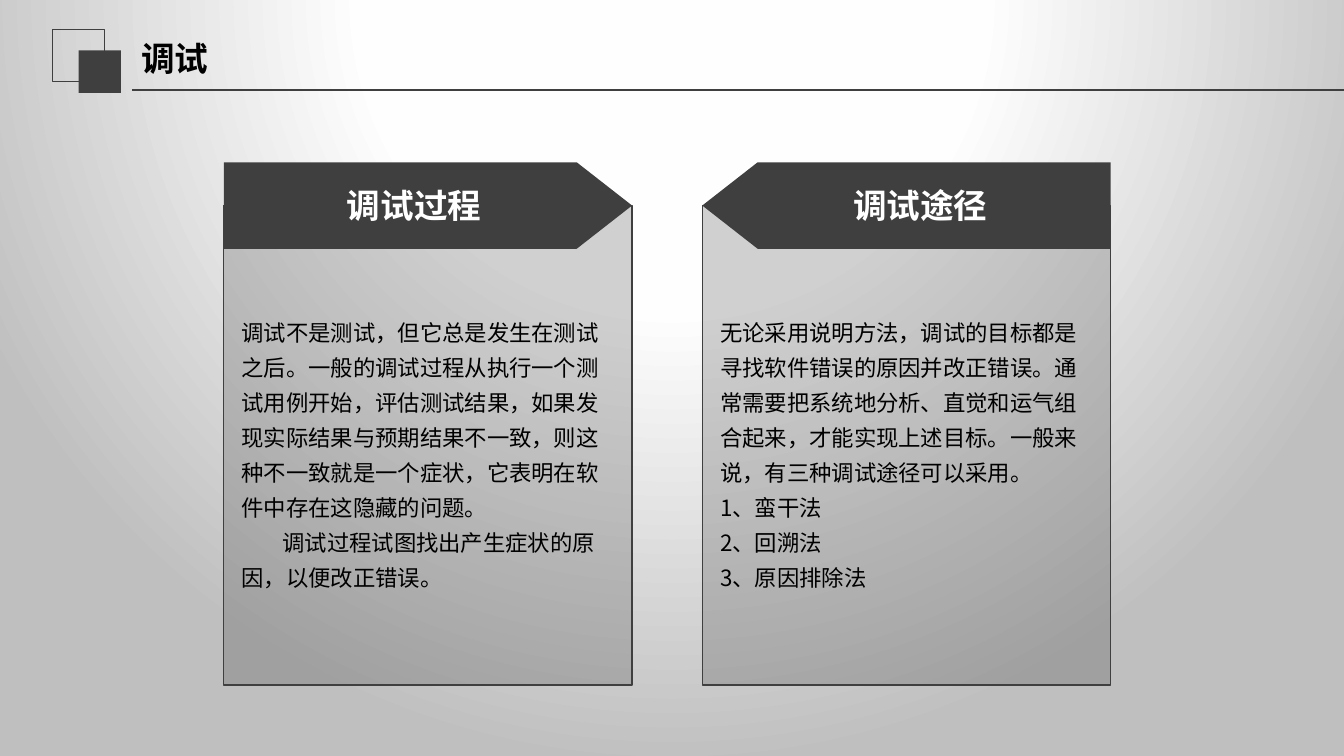
from lxml import etree
from pptx import Presentation
from pptx.dml.color import RGBColor
from pptx.enum import shapes, text
from pptx.oxml import parse_xml
from pptx.oxml.ns import nsdecls, qn
from pptx.util import Cm, Pt

HUES = {"dark": "3F3F3F", "ink": "000000", "white": "FFFFFF",
        "pale": "FEFEFE", "grey": "BFBFBF"}
FONT = "Noto Sans CJK SC"
WIDE, HIGH = 33.87, 19.05
RECT = shapes.MSO_SHAPE.RECTANGLE
ARROW = shapes.MSO_SHAPE.PENTAGON

PANELS = [
    (5.64, False, "调试过程", [
        ("调试不是测试，但它总是发生在测试之后。一般的调试过程从执行一个测试用例开始，"
         "评估测试结果，如果发现实际结果与预期结果不一致，则这种不一致就是一个症状，"
         "它表明在软件中存在这隐藏的问题。", 0),
        ("调试过程试图找出产生症状的原因，以便改正错误。", 1.03)]),
    (17.7, True, "调试途径", [
        ("无论采用说明方法，调试的目标都是寻找软件错误的原因并改正错误。"
         "通常需要把系统地分析、直觉和运气组合起来，才能实现上述目标。"
         "一般来说，有三种调试途径可以采用。", 0),
        ("1、蛮干法", 0), ("2、回溯法", 0), ("3、原因排除法", 0)]),
]


def tint(name):
    return RGBColor.from_string(HUES[name])


def style(para, size, hue, bold=False, face=FONT):
    font = para.font
    font.size, font.bold = Pt(size), bold
    font.color.rgb = tint(hue)
    font.name = face
    etree.SubElement(font._element, qn("a:ea")).set("typeface", FONT)


def block(slide, kind, box, fill=None, line=None, alpha=None):
    shape = slide.shapes.add_shape(kind, *map(Cm, box))
    shape.shadow.inherit = False
    if fill:
        shape.fill.solid()
        shape.fill.fore_color.rgb = tint(fill)
        if alpha:
            color = shape.fill._xPr.find(".//" + qn("a:srgbClr"))
            etree.SubElement(color, qn("a:alpha")).set("val", str(alpha * 1000))
    else:
        shape.fill.background()
    if line:
        shape.line.color.rgb = tint("dark")
        shape.line.width = Pt(line)
    else:
        shape.line.fill.background()
    return shape


def backdrop(slide):
    fill = slide.background.fill
    fill.gradient()
    old = fill._xPr.find(qn("a:gradFill"))
    stops = "".join(
        f'<a:gs pos="{pos * 1000}"><a:srgbClr val="{HUES[hue]}"/></a:gs>'
        for pos, hue in [(0, "white"), (40, "pale"), (100, "grey")])
    new = parse_xml(
        f'<a:gradFill {nsdecls("a")} rotWithShape="1"><a:gsLst>{stops}</a:gsLst>'
        '<a:path path="circle"><a:fillToRect l="50000" t="-80000" '
        'r="50000" b="180000"/></a:path></a:gradFill>')
    old.getparent().replace(old, new)


def header(slide, left, top):
    block(slide, RECT, (left, top, 1.32, 1.32), line=0.75)
    block(slide, RECT, (left + 0.66, top + 0.53, 1.07, 1.07), fill="dark")
    level = Cm(top + 1.52)
    rule = slide.shapes.add_connector(
        shapes.MSO_CONNECTOR.STRAIGHT, Cm(left + 2.01), level, Cm(WIDE), level)
    rule.line.color.rgb = tint("dark")
    rule.line.width = Pt(1.25)
    etree.SubElement(rule._element.spPr, qn("a:effectLst"))

    title = slide.shapes.title
    title.left, title.top = Cm(left + 1.98), Cm(top)
    title.width, title.height = Cm(12.04), Cm(1.47)
    frame = title.text_frame
    frame.text = "调试"
    frame.auto_size = text.MSO_AUTO_SIZE.NONE
    frame.vertical_anchor = text.MSO_ANCHOR.MIDDLE
    para = frame.paragraphs[0]
    para.alignment = text.PP_ALIGN.LEFT
    style(para, 24, "ink", True, "Calibri")


def panel(slide, box, flip, label, lines):
    left, top, width, height = box
    band = 2.18
    block(slide, RECT, (left, top + band / 2, width, height - band / 2),
          fill="dark", line=1, alpha=24)

    head = block(slide, ARROW, (left, top, width, band), fill="dark")
    head.adjustments[0] = 0.64
    if flip:
        head._element.spPr.xfrm.set("flipH", "1")
    frame = head.text_frame
    frame.text = label
    frame.word_wrap = False
    frame.vertical_anchor = text.MSO_ANCHOR.MIDDLE
    para = frame.paragraphs[0]
    para.alignment = text.PP_ALIGN.CENTER
    style(para, 24, "white", True)

    body = slide.shapes.add_textbox(
        Cm(left + 0.2), Cm(top + 3.63), Cm(width - 0.41), Cm(7.37))
    frame = body.text_frame
    frame.word_wrap = True
    for i, (words, indent) in enumerate(lines):
        para = frame.add_paragraph() if i else frame.paragraphs[0]
        para.text = words
        para.line_spacing = 1.3
        if indent:
            para._p.get_or_add_pPr().set("indent", str(Cm(indent)))
        style(para, 16, "ink")


def main():
    deck = Presentation()
    deck.slide_width, deck.slide_height = Cm(WIDE), Cm(HIGH)
    slide = deck.slides.add_slide(deck.slide_layouts[5])
    backdrop(slide)
    header(slide, 1.32, 0.74)
    for left, flip, label, lines in PANELS:
        panel(slide, (left, 4.09, 10.29, 13.17), flip, label, lines)
    deck.save("out.pptx")


if __name__ == "__main__":
    main()
